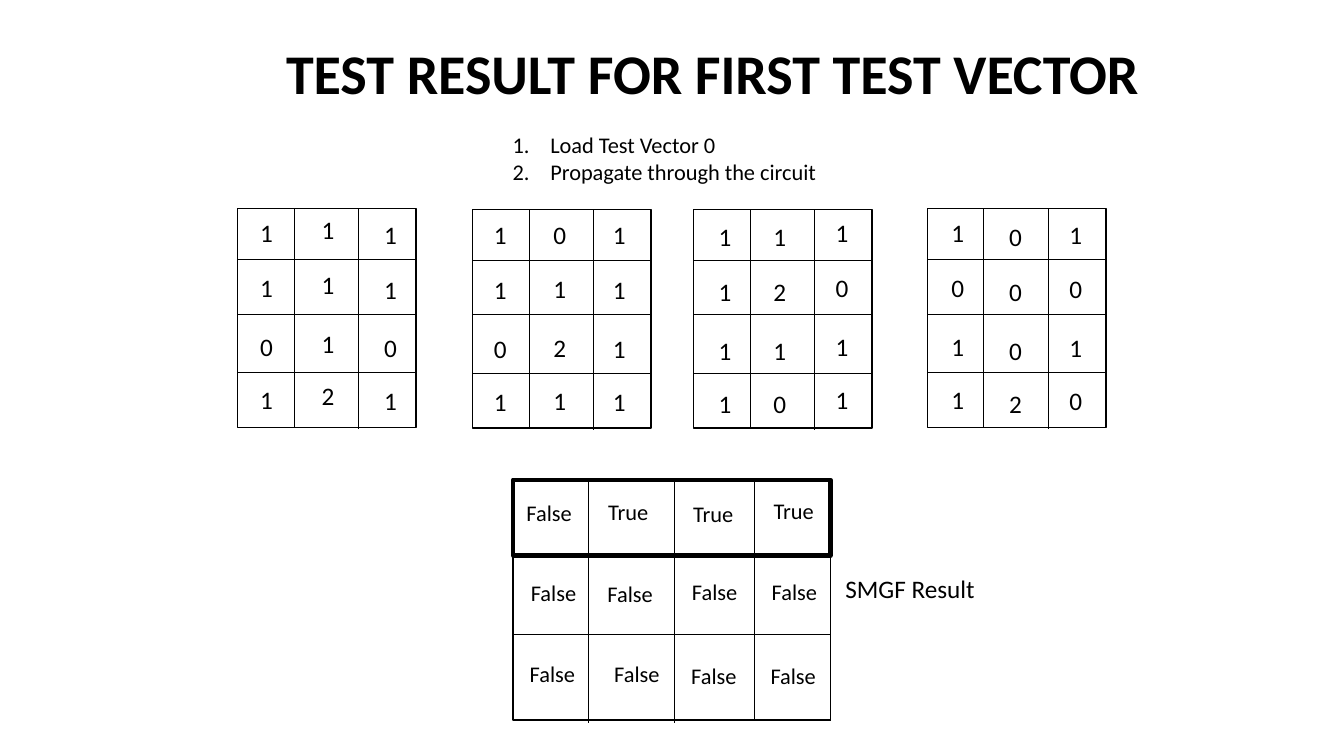
from dataclasses import dataclass

from lxml import etree
from pptx import Presentation
from pptx import util as u
from pptx.dml.color import RGBColor
from pptx.enum import shapes, text
from pptx.oxml.ns import qn


@dataclass(frozen=True)
class Theme:
    font: str = "Calibri"
    ink: RGBColor = RGBColor(0, 0, 0)
    paper: RGBColor = RGBColor(255, 255, 255)
    title: float = 40
    body: float = 18
    small: float = 16
    hairline: float = 0.5
    frame: float = 1
    highlight: float = 3


@dataclass(frozen=True)
class Box:
    left: float
    top: float
    width: float
    height: float

    def lengths(self) -> list[u.Length]:
        return [u.Cm(v) for v in (self.left, self.top, self.width, self.height)]


@dataclass(frozen=True)
class Rule:
    """A grid line: its offset from the frame and how far it runs past it."""
    offset: float
    overshoot: float = 0


@dataclass(frozen=True)
class Column:
    left: float
    top: float
    digits: str


@dataclass(frozen=True)
class Matrix:
    left: float
    top: float
    columns: tuple[Column, ...]


@dataclass(frozen=True)
class Verdict:
    word: str
    left: float
    top: float


THEME = Theme()
MATRIX_WIDTH, MATRIX_HEIGHT = 4.5, 5.51
MATRIX_COLUMNS = (Rule(1.42), Rule(3.04, 0.05))
MATRIX_ROWS = (Rule(1.27), Rule(2.65), Rule(4.13))
DIGIT_ROWS = (0, 1.38, 2.86, 4.19)
CELL_HEIGHT = 0.94
VERDICT_WIDTHS = {"True": 1.55, "False": 1.68}

MATRICES = (
    Matrix(5.99, 5.26, (Column(6.25, 5.36, "1101"), Column(7.8, 5.28, "1112"),
                        Column(9.37, 5.4, "1101"))),
    Matrix(11.91, 5.28, (Column(12.14, 5.41, "1101"), Column(13.64, 5.39, "0121"),
                         Column(15.14, 5.41, "1111"))),
    Matrix(17.48, 5.28, (Column(17.8, 5.46, "1111"), Column(19.18, 5.46, "1210"),
                         Column(20.75, 5.36, "1011"))),
    Matrix(23.37, 5.26, (Column(23.67, 5.36, "1011"), Column(25.12, 5.46, "0002"),
                         Column(26.64, 5.39, "1010"))),
)

RESULT = Box(12.93, 12.09, 8, 6.05)
RESULT_COLUMNS = (Rule(1.9, 0.08), Rule(4.06, 0.08), Rule(6.07))
RESULT_ROWS = (Rule(1.88), Rule(3.89), Rule(6.05))
VERDICTS = (
    Verdict("False", 13, 12.45), Verdict("True", 15.06, 12.42),
    Verdict("True", 17.2, 12.47), Verdict("True", 19.23, 12.4),
    Verdict("False", 13.11, 14.48), Verdict("False", 15.04, 14.5),
    Verdict("False", 17.17, 14.45), Verdict("False", 19.18, 14.45),
    Verdict("False", 13.08, 16.51), Verdict("False", 15.21, 16.51),
    Verdict("False", 17.15, 16.56), Verdict("False", 19.15, 16.56),
)
STEPS = ("Load Test Vector 0", "Propagate through the circuit")


def add_text(parent, box: Box, lines: tuple[str, ...], size: float, bold: bool = False,
             wrap: bool = True, numbered: bool = False) -> None:
    tf = parent.add_textbox(*box.lengths()).text_frame
    tf.word_wrap = wrap
    tf.auto_size = text.MSO_AUTO_SIZE.SHAPE_TO_FIT_TEXT
    for i, line in enumerate(lines):
        p = tf.add_paragraph() if i else tf.paragraphs[0]
        if numbered:
            number_paragraph(p)
        else:
            p.alignment = text.PP_ALIGN.CENTER
        r = p.add_run()
        r.text = line
        r.font.name, r.font.size, r.font.bold = THEME.font, u.Pt(size), bold
        r.font.color.rgb = THEME.ink


def number_paragraph(p) -> None:
    ppr = p._p.get_or_add_pPr()
    indent = u.Cm(0.95)
    ppr.set("marL", str(indent))
    ppr.set("indent", str(-indent))
    etree.SubElement(ppr, qn("a:buFont"), typeface="+mj-lt")
    etree.SubElement(ppr, qn("a:buAutoNum"), type="arabicPeriod")


def add_line(parent, x1: float, y1: float, x2: float, y2: float) -> None:
    ln = parent.add_connector(shapes.MSO_CONNECTOR.STRAIGHT,
                              *(u.Cm(v) for v in (x1, y1, x2, y2)))
    ln.line.color.rgb = THEME.ink
    ln.line.width = u.Pt(THEME.hairline)
    etree.SubElement(ln._element.spPr, qn("a:effectLst"))


def add_frame(parent, kind: shapes.MSO_SHAPE, box: Box, weight: float):
    sp = parent.add_shape(kind, *box.lengths())
    sp.shadow.inherit = False
    sp.line.color.rgb = THEME.ink
    sp.line.width = u.Pt(weight)
    return sp


def add_grid(parent, box: Box, columns: tuple[Rule, ...], rows: tuple[Rule, ...]) -> None:
    sp = add_frame(parent, shapes.MSO_SHAPE.RECTANGLE, box, THEME.frame)
    sp.fill.solid()
    sp.fill.fore_color.rgb = THEME.paper
    for rule in columns:
        x = box.left + rule.offset
        add_line(parent, x, box.top, x, box.top + box.height + rule.overshoot)
    for rule in rows:
        y = box.top + rule.offset
        add_line(parent, box.left, y, box.left + box.width + rule.overshoot, y)


def add_matrix(parent, matrix: Matrix) -> None:
    add_grid(parent, Box(matrix.left, matrix.top, MATRIX_WIDTH, MATRIX_HEIGHT),
             MATRIX_COLUMNS, MATRIX_ROWS)
    for column in matrix.columns:
        for digit, drop in zip(column.digits, DIGIT_ROWS):
            add_text(parent, Box(column.left, column.top + drop, CELL_HEIGHT, CELL_HEIGHT),
                     (digit,), THEME.body)


def main() -> None:
    prs = Presentation()
    prs.slide_width, prs.slide_height = u.Cm(33.87), u.Cm(19.05)
    s = prs.slides.add_slide(prs.slide_layouts[6])

    add_text(s.shapes, Box(6.48, 0.84, 22.94, 1.96),
             ("TEST RESULT FOR FIRST TEST VECTOR",), THEME.title, bold=True)

    matrices = s.shapes.add_group_shape().shapes
    for matrix in MATRICES:
        add_matrix(matrices, matrix)

    add_grid(s.shapes.add_group_shape().shapes, RESULT, RESULT_COLUMNS, RESULT_ROWS)
    for v in VERDICTS:
        add_text(s.shapes, Box(v.left, v.top, VERDICT_WIDTHS[v.word], CELL_HEIGHT),
                 (v.word,), THEME.small, wrap=False)
    add_text(s.shapes, Box(20.93, 14.33, 4.01, 1.02), ("SMGF Result",), THEME.body)

    first_row = Box(RESULT.left, RESULT.top, RESULT.width, 1.91)
    sp = add_frame(s.shapes, shapes.MSO_SHAPE.ROUNDED_RECTANGLE, first_row, THEME.highlight)
    sp.adjustments[0] = 0
    sp.fill.background()

    add_text(s.shapes, Box(12.67, 3.18, 8.41, 1.63), STEPS, THEME.small, numbered=True)
    prs.save("out.pptx")


if __name__ == "__main__":
    main()
